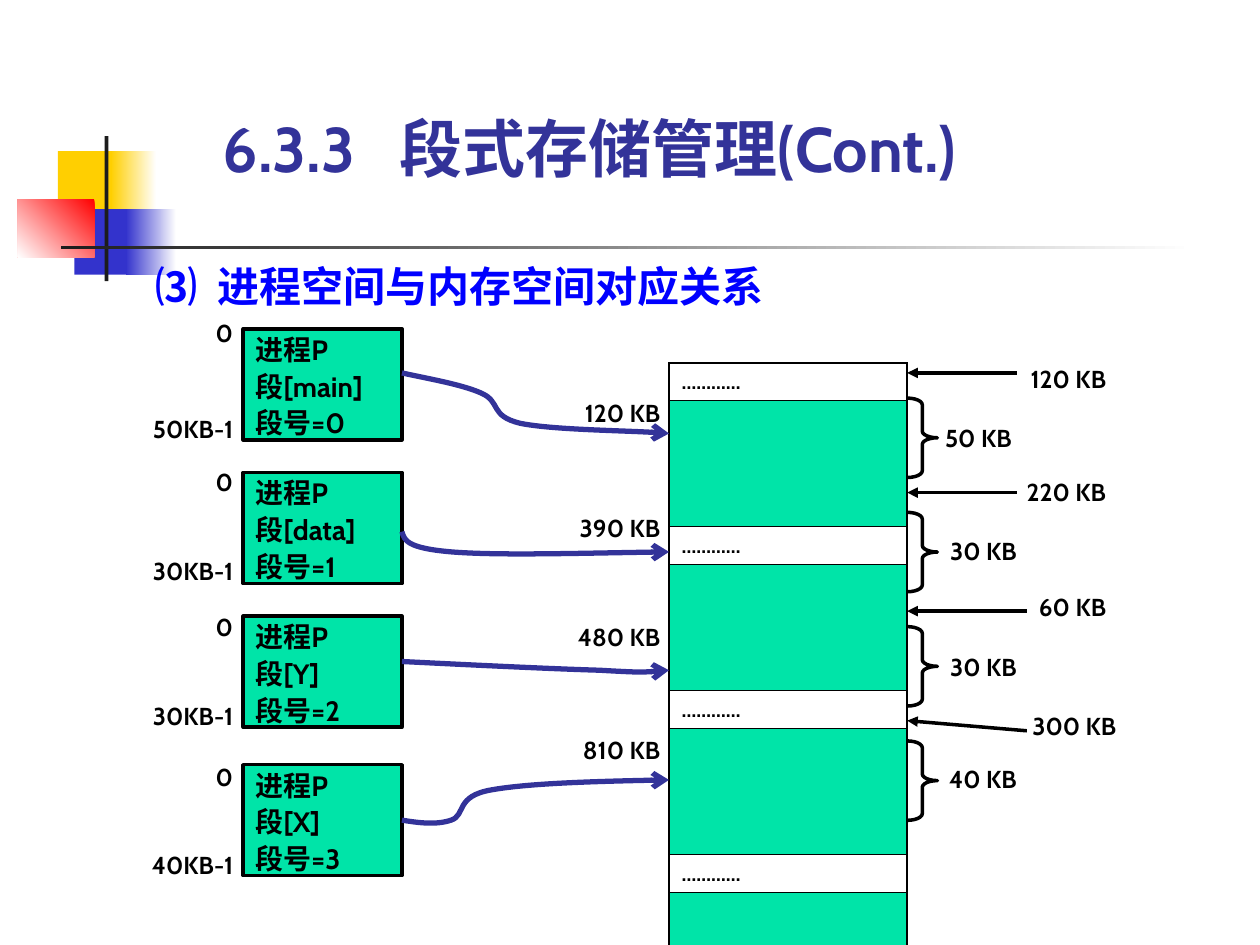
from dataclasses import dataclass

from lxml.etree import SubElement
from pptx import Presentation
from pptx.dml.color import RGBColor
from pptx.enum.shapes import MSO_CONNECTOR, MSO_SHAPE
from pptx.enum.text import MSO_ANCHOR, PP_ALIGN
from pptx.oxml import parse_xml
from pptx.oxml.ns import nsdecls, qn
from pptx.util import Pt


@dataclass(frozen=True)
class Theme:
    font: str = "Cabin"
    title_size: int = 36
    heading_size: int = 24
    segment_size: int = 16
    label_size: int = 14
    cell_size: int = 12
    title: str = "333399"
    heading: str = "0000FF"
    ink: str = "000000"
    green: str = "00E4A8"
    yellow: str = "FFCF01"
    blue: str = "3333CC"
    red: str = "FF0000"
    dark: str = "1C1C1C"
    white: str = "FFFFFF"


theme = Theme()


def write(frame, text, size, color=theme.ink, align=PP_ALIGN.LEFT, spacing=1.0, inset=0, tab=None):
    frame.word_wrap = True
    frame.margin_left = Pt(inset)
    frame.margin_right = frame.margin_top = frame.margin_bottom = 0
    frame.vertical_anchor = MSO_ANCHOR.TOP
    frame.text = text
    for paragraph in frame.paragraphs:
        paragraph.alignment = align
        paragraph.line_spacing = spacing
        if tab:
            stops = SubElement(paragraph._p.get_or_add_pPr(), qn("a:tabLst"))
            SubElement(stops, qn("a:tab"), pos=str(Pt(tab)), algn="l")
        for run in paragraph.runs:
            run.font.name = theme.font
            run.font.size = Pt(size)
            run.font.bold = True
            run.font.color.rgb = RGBColor.from_string(color)


def add_arrowhead(stroke, kind):
    SubElement(stroke.line._get_or_add_ln(), qn("a:tailEnd"), type=kind)


prs = Presentation()
prs.slide_width, prs.slide_height = Pt(720), Pt(540)
slide = prs.slides.add_slide(prs.slide_layouts[5])
shapes = slide.shapes

decorations = [
    (33.1, 86.4, 34.6, 37.4, theme.yellow, None, None),
    (63.4, 86.4, 25.9, 37.4, theme.white, theme.yellow, 180),
    (42.5, 119.5, 33.1, 37.4, theme.blue, None, None),
    (72, 119.5, 28.8, 37.4, theme.white, theme.blue, 180),
    (10.1, 113.8, 43.9, 33.1, theme.red, theme.white, 225),
    (59.8, 77.8, 2.2, 82.8, theme.dark, None, None),
    (34.6, 140.4, 648, 2.2, theme.white, theme.dark, 180),
]
for left, top, width, height, start, end, angle in decorations:
    block = shapes.add_shape(MSO_SHAPE.RECTANGLE, Pt(left), Pt(top), Pt(width), Pt(height))
    block.shadow.inherit = False
    block.line.fill.background()
    if end:
        block.fill.gradient()
        block.fill.gradient_angle = angle
        for stop, color in zip(block.fill.gradient_stops, (start, end)):
            stop.color.rgb = RGBColor.from_string(color)
    else:
        block.fill.solid()
        block.fill.fore_color.rgb = RGBColor.from_string(start)

title = shapes.title
title.left, title.top, title.width, title.height = Pt(127.4), Pt(60.5), Pt(499), Pt(45.4)
write(title.text_frame, "6.3.3\t段式存储管理(Cont.)", theme.title_size, theme.title, spacing=0.85, tab=101)
title.text_frame.vertical_anchor = MSO_ANCHOR.BOTTOM

heading = shapes.add_textbox(Pt(88.6), Pt(149), Pt(368), Pt(28.8))
write(heading.text_frame, "⑶\t进程空间与内存空间对应关系", theme.heading_size, theme.heading, tab=35.5)

segments = [("main", 187.9), ("data", 270), ("Y", 352.1), ("X", 437)]
for number, (name, top) in enumerate(segments):
    segment = shapes.add_shape(MSO_SHAPE.RECTANGLE, Pt(139), Pt(top), Pt(90.7), Pt(63.4))
    segment.shadow.inherit = False
    segment.fill.solid()
    segment.fill.fore_color.rgb = RGBColor.from_string(theme.green)
    segment.line.color.rgb = RGBColor.from_string(theme.ink)
    segment.line.width = Pt(2)
    write(segment.text_frame, f"进程P\n段[{name}]\n段号={number}", theme.segment_size, spacing=1.1, inset=7.2)

row_count = 13
memory_frame = shapes.add_table(row_count, 1, Pt(382.3), Pt(207.4), Pt(136.1), Pt(396))
memory = memory_frame.table
memory.first_row = memory.horz_banding = False
memory._tbl.tblPr.find(qn("a:tableStyleId")).text = "{2D5ABB26-0587-4C30-8999-92F81FD0307C}"
for index, row in enumerate(memory.rows):
    cell = row.cells[0]
    is_gap = index % 3 == 0
    row.height = Pt(21.6 if is_gap else 36)
    if is_gap:
        write(cell.text_frame, "…………", theme.cell_size)
        cell.margin_left = cell.margin_right = Pt(7.2)
        cell.margin_top = cell.margin_bottom = Pt(3.6)
        cell.vertical_anchor = MSO_ANCHOR.MIDDLE
        cell.fill.background()
    else:
        cell.fill.solid()
        cell.fill.fore_color.rgb = RGBColor.from_string(theme.green)
    borders = [("L", 1.08), ("R", 1.08)]
    if index % 3 != 2:
        borders.append(("T", 1.08 if index == 0 else 0.45)) if is_gap else None
    if index % 3 != 1:
        borders.append(("B", 1.08 if index == row_count - 1 else 0.45))
    for position, (side, width) in enumerate(borders):
        cell._tc.get_or_add_tcPr().insert(position, parse_xml(
            f'<a:ln{side} {nsdecls("a")} w="{Pt(width)}"><a:solidFill>'
            f'<a:srgbClr val="{theme.ink}"/></a:solidFill></a:ln{side}>'))

labels = [
    ("0", 115.9, 185, 17.3), ("50KB-1", 76.3, 239.8, 56.9),
    ("0", 115.9, 270, 17.3), ("30KB-1", 76.3, 321.1, 56.9),
    ("0", 115.9, 352.8, 17.3), ("30KB-1", 76.3, 403.9, 56.9),
    ("0", 115.9, 438.5, 17.3), ("40KB-1", 76.3, 488.9, 56.9),
    ("120 KB", 326.2, 230.4, 51.1), ("390 KB", 326.2, 296.6, 51.1),
    ("480 KB", 326.2, 358.6, 51.1), ("810 KB", 326.2, 423.4, 51.1),
    ("50 KB", 527, 244.8, 51.1), ("30 KB", 529.9, 309.6, 51.1),
    ("30 KB", 529.9, 375.8, 51.1), ("40 KB", 529.9, 439.9, 51.1),
    ("120 KB", 581, 211, 51.1), ("220 KB", 581, 275.8, 51.1),
    ("60 KB", 581, 341.3, 51.1), ("300 KB", 586.8, 409.7, 51.1),
]
for text, left, top, width in labels:
    label = shapes.add_textbox(Pt(left), Pt(top), Pt(width), Pt(13.7))
    write(label.text_frame, text, theme.label_size, align=PP_ALIGN.RIGHT, spacing=0.8)

for index in range(4):
    brace = shapes.add_shape(MSO_SHAPE.RIGHT_BRACE, Pt(518.4), Pt(227.5 + 65.3 * index), Pt(17.3), Pt(45.4))
    brace.adjustments[0] = 0.22
    brace.shadow.inherit = False
    brace.fill.background()
    brace.line.color.rgb = RGBColor.from_string(theme.ink)
    brace.line.width = Pt(2)

for start_x, start_y, end_y in [(581, 213.1, 213.1), (581, 281.5, 281.5), (586.8, 349.2, 349.2), (586.8, 417.6, 411.8)]:
    pointer = shapes.add_connector(MSO_CONNECTOR.STRAIGHT, Pt(start_x), Pt(start_y), Pt(518.4), Pt(end_y))
    pointer.line.color.rgb = RGBColor.from_string(theme.ink)
    pointer.line.width = Pt(2)
    add_arrowhead(pointer, "triangle")
    SubElement(pointer._element.spPr, qn("a:effectLst"))

mappings = [
    [(229.7, 213.1), (246.2, 216.7), (263.5, 219.6), (275, 224.6), (286.6, 229.7),
     (279.4, 237.6), (297.4, 241.9), (315.4, 245.5), (368.6, 246.2), (382.3, 247.7)],
    [(229.7, 303.8), (231.1, 308.9), (232.6, 313.2), (257.8, 315.4),
     (283.7, 317.5), (332.6, 316.1), (382.3, 315.4)],
    [(229.7, 378), (273.6, 380.2), (317.5, 382.3), (342.7, 383),
     (368.6, 384.5), (375.8, 383.8), (382.3, 383)],
    [(229.7, 468.7), (239, 470.2), (249.1, 471.6), (257.8, 468.7), (266.4, 465.8),
     (259.9, 455), (280.8, 451.4), (301, 447.8), (342, 446.4), (382.3, 445.7)],
]
for points in mappings:
    (start_x, start_y), *controls = [(Pt(x), Pt(y)) for x, y in points]
    builder = shapes.build_freeform(start_x, start_y)
    builder.add_line_segments(controls, close=False)
    mapping = builder.convert_to_shape()
    outline = next(mapping._element.iter(qn("a:path")))
    segments_drawn = outline.findall(qn("a:lnTo"))
    for first in range(0, len(segments_drawn), 3):
        curve = SubElement(outline, qn("a:cubicBezTo"))
        for straight in segments_drawn[first:first + 3]:
            curve.append(straight[0])
            outline.remove(straight)
    mapping.shadow.inherit = False
    mapping.fill.background()
    mapping.line.color.rgb = RGBColor.from_string(theme.title)
    mapping.line.width = Pt(3)
    add_arrowhead(mapping, "arrow")

prs.save("out.pptx")
